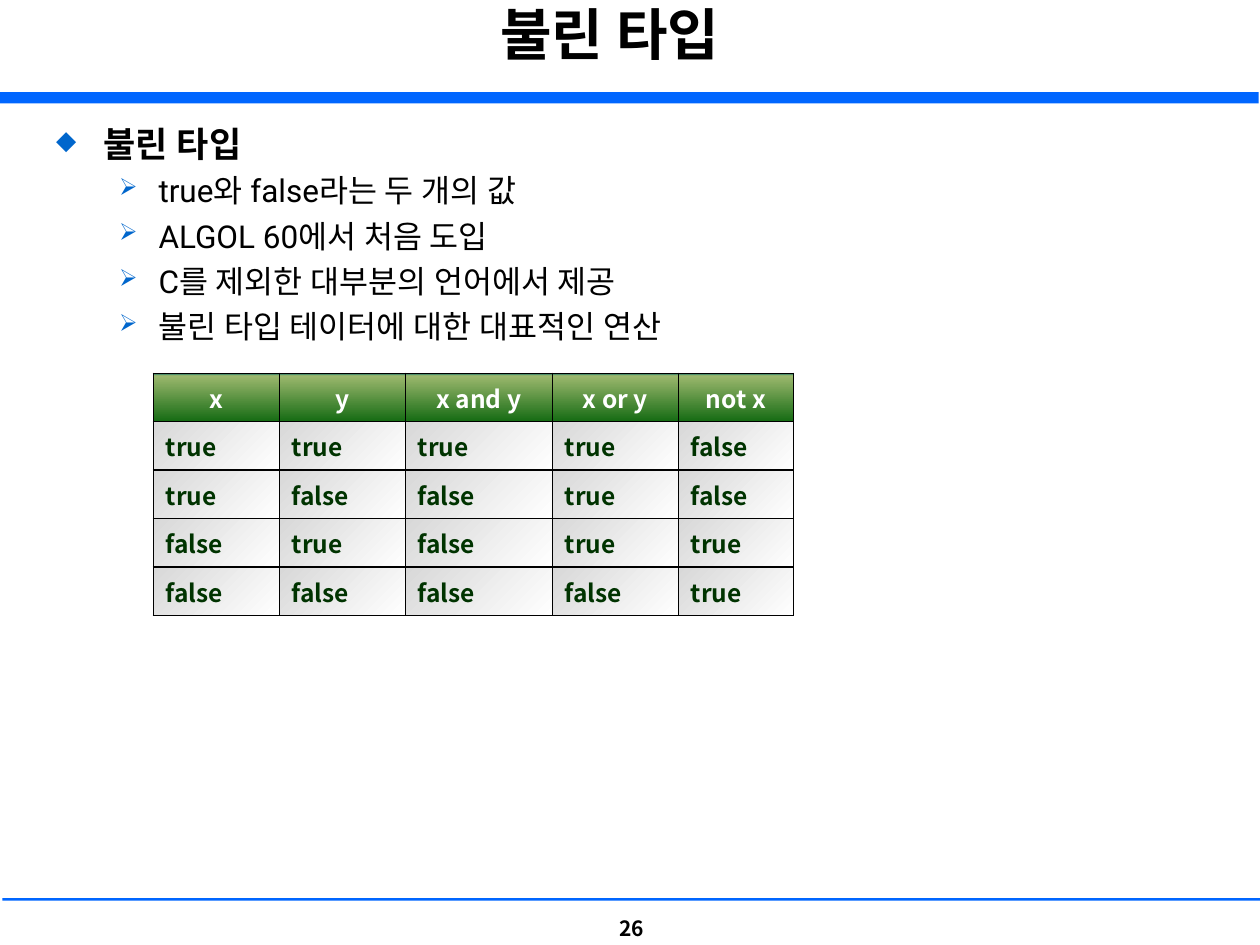
from dataclasses import dataclass

from lxml import etree
from pptx import Presentation
from pptx import util as u
from pptx.dml import color
from pptx.enum import shapes, text
from pptx.oxml import ns

Pt = u.Pt


@dataclass(frozen=True)
class Theme:
    rule: str = "0066FF"
    bullet: str = "0066CC"
    ink: str = "000000"
    header_ink: str = "FFFFFF"
    cell_ink: str = "003300"
    header_stops: tuple = ((0, "006666"), (5, "9CB86E"), (100, "156B13"))
    cell_stops: tuple = ((0, "D8D8D8"), (100, "FFFFFF"))
    korean: str = "Noto Sans CJK KR"
    body: str = "Roboto"
    title_size: int = 32
    heading_size: int = 20
    item_size: int = 18
    cell_size: int = 14
    number_size: int = 12


theme = Theme()


def add_xml(parent, tag, **attributes):
    child = etree.SubElement(parent, ns.qn(tag))
    for name, value in attributes.items():
        child.set(name, str(value))
    return child


def write(paragraph, string, size, font=theme.korean, ink=theme.ink, bold=True, align=text.PP_ALIGN.LEFT):
    paragraph.alignment = align
    run = paragraph.add_run()
    run.text = string
    run.font.size = Pt(size)
    run.font.name = font
    run.font.bold = bold
    run.font.color.rgb = color.RGBColor.from_string(ink)
    add_xml(run.font._element, "a:ea", typeface=font)


presentation = Presentation()
presentation.slide_width, presentation.slide_height = Pt(720), Pt(540)
slide = presentation.slides.add_slide(presentation.slide_layouts[6])

# Blue rules above and below the content
for left, top, height in ((0, 52.6, 6.5), (1.4, 513.2, 1.5)):
    rule = slide.shapes.add_shape(shapes.MSO_SHAPE.RECTANGLE, Pt(left), Pt(top), Pt(719.3), Pt(height))
    rule.shadow.inherit = False
    rule.fill.solid()
    rule.fill.fore_color.rgb = color.RGBColor.from_string(theme.rule)
    rule.line.fill.background()

# Title
title = slide.shapes.add_textbox(Pt(24.5), Pt(0.7), Pt(648), Pt(56)).text_frame
title.word_wrap = True
title.paragraphs[0].line_spacing = 0.9
write(title.paragraphs[0], "불린 타입", theme.title_size, align=text.PP_ALIGN.CENTER)

# Page number
number = slide.shapes.add_textbox(Pt(330.5), Pt(516.2), Pt(61), Pt(28)).text_frame
number.word_wrap = True
number.vertical_anchor = text.MSO_ANCHOR.MIDDLE
write(number.paragraphs[0], "26", theme.number_size, align=text.PP_ALIGN.CENTER)

# Bulleted text
lines = [
    (0, "불린 타입"),
    (1, "true와 false라는 두 개의 값"),
    (1, "ALGOL 60에서 처음 도입"),
    (1, "C를 제외한 대부분의 언어에서 제공"),
    (1, "불린 타입 테이터에 대한 대표적인 연산"),
]
levels = [  # size, left margin, hanging indent, bullet
    (theme.heading_size, 27, -27, "◆"),
    (theme.item_size, 58.5, -22.5, "➢"),
]
body = slide.shapes.add_textbox(Pt(25), Pt(66.2), Pt(663), Pt(442)).text_frame
body.word_wrap = True
for index, (level, string) in enumerate(lines):
    size, margin, indent, bullet = levels[level]
    paragraph = body.add_paragraph() if index else body.paragraphs[0]
    paragraph.level = level
    paragraph.space_before = Pt(4.2)
    write(paragraph, string, size, font=theme.body, bold=level == 0)
    properties = paragraph._p.get_or_add_pPr()
    properties.set("marL", str(Pt(margin)))
    properties.set("indent", str(Pt(indent)))
    add_xml(add_xml(properties, "a:buClr"), "a:srgbClr", val=theme.bullet)
    add_xml(properties, "a:buSzPct", val=75000)
    add_xml(properties, "a:buChar", char=bullet)

# Truth table
rows = [
    ("x", "y", "x and y", "x or y", "not x"),
    ("true", "true", "true", "true", "false"),
    ("true", "false", "false", "true", "false"),
    ("false", "true", "false", "true", "true"),
    ("false", "false", "false", "false", "true"),
]
widths = (72, 72, 84, 72, 66)
row_height = 27.7
table = slide.shapes.add_table(
    len(rows), len(widths), Pt(87.6), Pt(213.3), Pt(sum(widths)), Pt(row_height * len(rows))
).table
table.horz_banding = False
for column, width in zip(table.columns, widths):
    column.width = Pt(width)

for row_index, values in enumerate(rows):
    table.rows[row_index].height = Pt(row_height)
    if row_index == 0:
        ink, align = theme.header_ink, text.PP_ALIGN.CENTER
        stops, angle = theme.header_stops, 90
    else:
        ink, align = theme.cell_ink, text.PP_ALIGN.LEFT
        stops, angle = theme.cell_stops, 45
    for column_index, value in enumerate(values):
        cell = table.cell(row_index, column_index)
        cell.vertical_anchor = text.MSO_ANCHOR.MIDDLE
        write(cell.text_frame.paragraphs[0], value, theme.cell_size, ink=ink, align=align)
        # Borders come before the fill in the cell properties
        properties = cell._tc.get_or_add_tcPr()
        for side in ("a:lnL", "a:lnR", "a:lnT", "a:lnB"):
            border = add_xml(properties, side, w=Pt(1))
            add_xml(add_xml(border, "a:solidFill"), "a:srgbClr", val=theme.ink)
        gradient = add_xml(properties, "a:gradFill", rotWithShape=1)
        stop_list = add_xml(gradient, "a:gsLst")
        for position, stop_color in stops:
            add_xml(add_xml(stop_list, "a:gs", pos=position * 1000), "a:srgbClr", val=stop_color)
        add_xml(gradient, "a:lin", ang=angle * 60000, scaled=0)

presentation.save("out.pptx")
